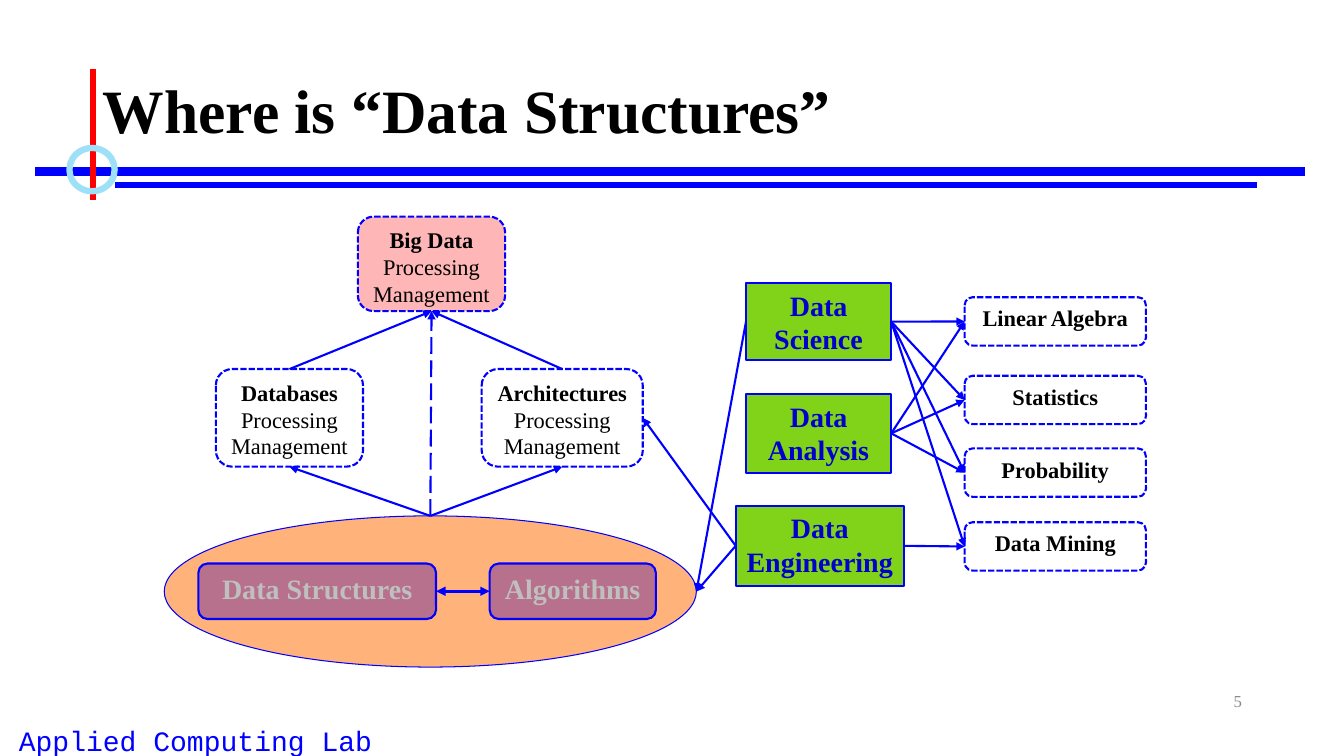
import pptx
import pptx.dml.color
import pptx.enum.dml
import pptx.enum.shapes
import pptx.enum.text
import pptx.oxml
import pptx.oxml.ns
import pptx.util

Cm = pptx.util.Cm
Pt = pptx.util.Pt
RGBColor = pptx.dml.color.RGBColor
SHAPES = pptx.enum.shapes.MSO_SHAPE
DASHES = pptx.enum.dml.MSO_LINE
ALIGN = pptx.enum.text.PP_ALIGN
ANCHOR = pptx.enum.text.MSO_ANCHOR

BLUE = RGBColor(0x00, 0x00, 0xFF)
NAVY = RGBColor(0x00, 0x00, 0xCC)
RED = RGBColor(0xFF, 0x00, 0x00)
SKY = RGBColor(0x9E, 0xE0, 0xF8)
ORANGE = RGBColor(0xFF, 0xB3, 0x7A)
PURPLE = RGBColor(0x70, 0x30, 0xA0)
CORAL = RGBColor(0xFF, 0x50, 0x50)
GREEN = RGBColor(0x81, 0xD3, 0x1A)
BLACK = RGBColor(0x00, 0x00, 0x00)
SILVER = RGBColor(0xBF, 0xBF, 0xBF)
GRAY = RGBColor(0x8C, 0x8C, 0x8C)

SERIF = "Times New Roman"
MONO = "Courier New"
TOP, LEFT, BOTTOM, RIGHT = range(4)


def add_xml(parent, tag, **attributes):
    child = pptx.oxml.parse_xml(f"<a:{tag} {pptx.oxml.ns.nsdecls('a')}/>")
    for name, value in attributes.items():
        child.set(name, value)
    parent.append(child)


def style_paragraph(paragraph, size, color, bold=False, align=ALIGN.CENTER, font=SERIF):
    paragraph.alignment = align
    paragraph.font.name = font
    paragraph.font.size = Pt(size)
    paragraph.font.bold = bold
    paragraph.font.color.rgb = color


def add_label(slide, text, box, size, color, anchor=ANCHOR.TOP, **style):
    frame = slide.shapes.add_textbox(*map(Cm, box)).text_frame
    frame.word_wrap = True
    frame.vertical_anchor = anchor
    frame.text = text
    style_paragraph(frame.paragraphs[0], size, color, **style)
    return frame.paragraphs[0]


def add_outline(slide, kind, box, fill=None, opacity=100, line=BLUE, width=1.5):
    """Add a preset shape; opacity is in percent, no fill means hollow."""
    shape = slide.shapes.add_shape(kind, *map(Cm, box))
    shape.shadow.inherit = False
    shape.line.color.rgb = line
    shape.line.width = Pt(width)
    if fill is None:
        shape.fill.background()
    else:
        shape.fill.solid()
        shape.fill.fore_color.rgb = fill
        if opacity < 100:
            color = shape.fill._xPr.find(".//" + pptx.oxml.ns.qn("a:srgbClr"))
            add_xml(color, "alpha", val=str(opacity * 1000))
    return shape


def add_box(slide, kind, box, lines, size, color, dashed=False, **outline):
    """Add a labelled box whose first line is bold; the rest are bold at 20 pt only."""
    shape = add_outline(slide, kind, box, **outline)
    if dashed:
        shape.line.dash_style = DASHES.SQUARE_DOT
    frame = shape.text_frame
    frame.word_wrap = True
    frame.vertical_anchor = ANCHOR.TOP
    frame.margin_left = frame.margin_right = Cm(0.1)
    frame.text = "\n".join(lines)
    for index, paragraph in enumerate(frame.paragraphs):
        style_paragraph(paragraph, size, color, bold=index == 0 or size == 20)
    return shape


def add_topic(slide, box, *lines, **outline):
    return add_box(slide, SHAPES.ROUNDED_RECTANGLE, box, lines, 16, BLACK, dashed=True, **outline)


def add_core(slide, box, text):
    return add_box(slide, SHAPES.ROUNDED_RECTANGLE, box, [text], 20, SILVER,
                   fill=PURPLE, opacity=50)


def add_field(slide, box, *lines):
    return add_box(slide, SHAPES.RECTANGLE, box, lines, 20, NAVY, fill=GREEN)


def add_line(slide, begin=(0, 0), end=(0, 0), color=BLUE, width=1.5):
    line = slide.shapes.add_connector(
        pptx.enum.shapes.MSO_CONNECTOR.STRAIGHT, *map(Cm, (*begin, *end)))
    line.line.color.rgb = color
    line.line.width = Pt(width)
    add_xml(line._element.spPr, "effectLst")
    return line


def add_arrow(slide, source, source_side, target, target_side, width=1.5, dash=None, double=False):
    """Join two shapes; a target given as an (x, y) point is left unjoined."""
    free_end = isinstance(target, tuple)
    arrow = add_line(slide, end=target if free_end else (0, 0), width=width)
    arrow.begin_connect(source, source_side)
    if not free_end:
        arrow.end_connect(target, target_side)
    if dash:
        arrow.line.dash_style = dash
    outline = arrow.line._get_or_add_ln()
    if double:
        add_xml(outline, "headEnd", type="triangle")
    add_xml(outline, "tailEnd", type="triangle")


def add_frame(slide):
    add_label(slide, "Applied Computing Lab", (0, 18.11, 9.86, 0.94), 20, BLUE, font=MONO)
    add_line(slide, (0.89, 4.32), (32.89, 4.32), width=6)
    add_line(slide, (2.9, 4.67), (31.67, 4.67), width=4.5)
    add_line(slide, (2.34, 1.73), (2.34, 5.05), RED, 4.5)
    add_outline(slide, SHAPES.OVAL, (1.75, 3.73, 1.14, 1.09), line=SKY, width=4.5)
    title = add_label(slide, "Where is “Data Structures”", (2.34, 1.02, 29.21, 3.68), 44, BLACK,
                      anchor=ANCHOR.MIDDLE, bold=True, align=ALIGN.LEFT)
    title.line_spacing = 0.9
    add_label(slide, "5", (23.93, 17.15, 7.62, 1.02), 12, GRAY,
              anchor=ANCHOR.MIDDLE, align=ALIGN.RIGHT)


def add_foundation(slide):
    """Draw the ellipse and what builds on it; return ellipse and architectures."""
    foundation = add_outline(slide, SHAPES.OVAL, (4.14, 13, 13.41, 3.81), ORANGE, width=0.75)
    structures = add_core(slide, (5, 14.2, 5.99, 1.4), "Data Structures")
    algorithms = add_core(slide, (12.34, 14.2, 4.19, 1.4), "Algorithms")
    add_arrow(slide, structures, RIGHT, algorithms, LEFT, width=2.25, double=True)

    tasks = ("Processing", "Management")
    databases = add_topic(slide, (5.44, 9.3, 3.71, 2.46), "Databases", *tasks)
    big_data = add_topic(slide, (9.02, 5.46, 3.71, 2.38), "Big Data", *tasks,
                         fill=CORAL, opacity=41)
    architectures = add_topic(slide, (12.14, 9.3, 4.06, 2.46), "Architectures", *tasks)
    for system in (databases, architectures):
        add_arrow(slide, foundation, TOP, system, BOTTOM)
        add_arrow(slide, system, TOP, big_data, BOTTOM)
    add_arrow(slide, foundation, TOP, big_data, BOTTOM, dash=DASHES.LONG_DASH)
    return foundation, architectures


def add_fields(slide, foundation, architectures):
    science = add_field(slide, (18.8, 7.14, 3.66, 1.93), "Data", "Science")
    analysis = add_field(slide, (18.8, 9.93, 3.66, 1.98), "Data Analysis")
    engineering = add_field(slide, (18.54, 12.75, 4.24, 2.01), "Data Engineering")
    algebra, statistics, probability, mining = [
        add_topic(slide, (24.31, top, 4.57, 1.22), name)
        for name, top in (("Linear Algebra", 7.49), ("Statistics", 9.47),
                          ("Probability", 11.3), ("Data Mining", 13.16))]

    needs = ((science, (algebra, statistics, probability, mining)),
             (analysis, (algebra, statistics, probability)),
             (engineering, (mining,)))
    for field, subjects in needs:
        for subject in subjects:
            add_arrow(slide, field, RIGHT, subject, LEFT)

    foundation_right = ((foundation.left + foundation.width) / Cm(1),
                        (foundation.top + foundation.height / 2) / Cm(1))
    for field in (science, engineering):
        add_arrow(slide, field, LEFT, foundation_right, None)
    add_arrow(slide, engineering, LEFT, architectures, RIGHT)


def main():
    deck = pptx.Presentation()
    deck.slide_width = Cm(33.87)
    deck.slide_height = Cm(19.05)
    slide = deck.slides.add_slide(deck.slide_layouts[6])
    add_frame(slide)
    foundation, architectures = add_foundation(slide)
    add_fields(slide, foundation, architectures)
    deck.save("out.pptx")


if __name__ == "__main__":
    main()
